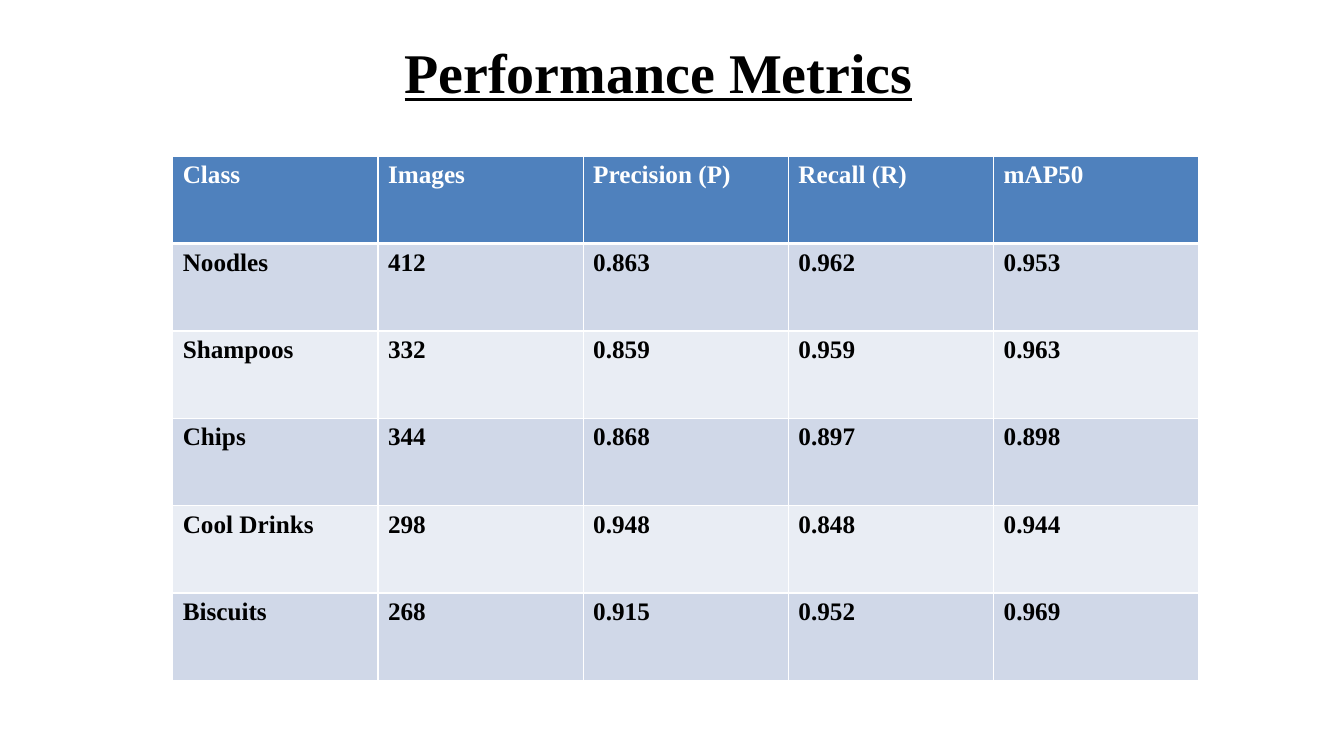
from lxml import etree
from pptx import Presentation
from pptx.dml.color import RGBColor
from pptx.enum.text import MSO_ANCHOR, PP_ALIGN
from pptx.oxml.ns import qn
from pptx.util import Inches, Pt

CENTER = PP_ALIGN.CENTER
MIDDLE = MSO_ANCHOR.MIDDLE

COLORS = {
    "text": "000000",
    "white": "FFFFFF",
    "header": "4F81BD",
    "band_dark": "D0D8E8",
    "band_light": "E9EDF4",
}

METRICS = [
    ["Class", "Images", "Precision (P)", "Recall (R)", "mAP50"],
    ["Noodles", "412", "0.863", "0.962", "0.953"],
    ["Shampoos", "332", "0.859", "0.959", "0.963"],
    ["Chips", "344", "0.868", "0.897", "0.898"],
    ["Cool Drinks", "298", "0.948", "0.848", "0.944"],
    ["Biscuits", "268", "0.915", "0.952", "0.969"],
]


class SlideBuilder:
    """Places elements in percent of the slide's width and height."""

    font_name = "Times New Roman"
    title_size = 40
    table_size = 18
    thin_border = 1
    header_border = 3

    def __init__(self, presentation):
        self.width = presentation.slide_width
        self.height = presentation.slide_height
        self.slide = presentation.slides.add_slide(presentation.slide_layouts[6])

    def box(self, left, top, width, height):
        return (int(self.width * left / 100), int(self.height * top / 100),
                int(self.width * width / 100), int(self.height * height / 100))

    def format_runs(self, paragraph, size, color, underline=None):
        for run in paragraph.runs:
            run.font.name = self.font_name
            run.font.size = Pt(size)
            run.font.bold = True
            run.font.underline = underline
            run.font.color.rgb = RGBColor.from_string(COLORS[color])

    def title(self, text, *position):
        text_frame = self.slide.shapes.add_textbox(*self.box(*position)).text_frame
        text_frame.word_wrap = True
        text_frame.vertical_anchor = MIDDLE
        text_frame.margin_left = text_frame.margin_right = 0
        text_frame.margin_top = text_frame.margin_bottom = 0
        text_frame.text = text
        paragraph = text_frame.paragraphs[0]
        paragraph.alignment = CENTER
        paragraph.line_spacing = 0.9
        self.format_runs(paragraph, self.title_size, "text", underline=True)

    def borders(self, cell, top, bottom):
        """Give the cell white borders, listed before its fill."""
        widths = {"lnL": self.thin_border, "lnR": self.thin_border,
                  "lnT": top, "lnB": bottom}
        properties = cell._tc.get_or_add_tcPr()
        for index, (side, width) in enumerate(widths.items()):
            line = etree.Element(qn(f"a:{side}"), w=str(Pt(width)))
            fill = etree.SubElement(line, qn("a:solidFill"))
            etree.SubElement(fill, qn("a:srgbClr"), val=COLORS["white"])
            properties.insert(index, line)

    def table(self, rows, *position):
        left, top, width, height = self.box(*position)
        table = self.slide.shapes.add_table(
            len(rows), len(rows[0]), left, top, width, height).table
        for column in table.columns:
            column.width = width // len(rows[0])
        for row_index, values in enumerate(rows):
            table.rows[row_index].height = height // len(rows)
            if row_index == 0:
                fill, color = "header", "white"
            else:
                fill = "band_dark" if row_index % 2 else "band_light"
                color = "text"
            upper = self.header_border if row_index == 1 else self.thin_border
            lower = self.header_border if row_index == 0 else self.thin_border
            for column_index, value in enumerate(values):
                cell = table.cell(row_index, column_index)
                cell.text_frame.text = value
                self.format_runs(cell.text_frame.paragraphs[0], self.table_size, color)
                cell.fill.solid()
                cell.fill.fore_color.rgb = RGBColor.from_string(COLORS[fill])
                self.borders(cell, upper, lower)


def main():
    presentation = Presentation()
    presentation.slide_width = Inches(13.33)
    presentation.slide_height = Inches(7.5)
    builder = SlideBuilder(presentation)

    # Heading
    builder.title("Performance Metrics", 4, 1.6, 90, 16.67)

    # Metrics per product class
    builder.table(METRICS, 12.85, 20.67, 76.35, 69.33)

    presentation.save("out.pptx")


if __name__ == "__main__":
    main()
